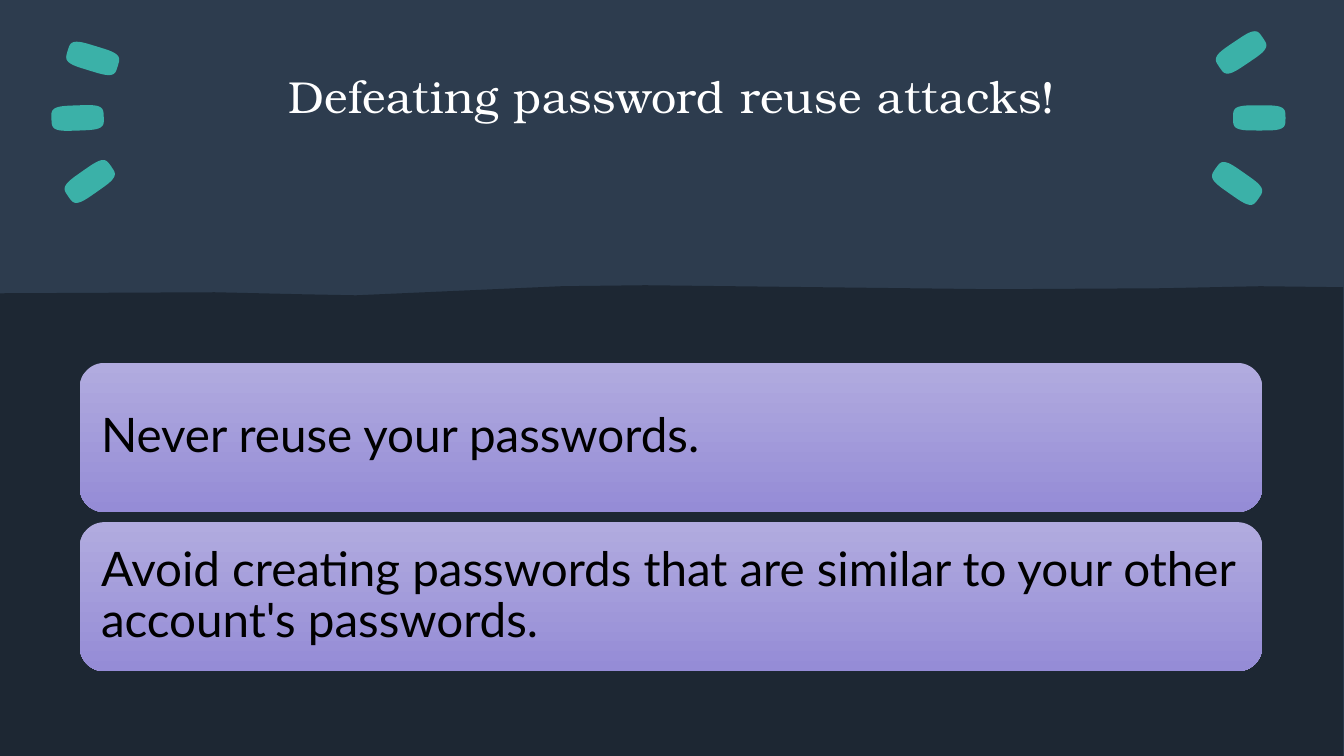
from math import cos, copysign, pi, radians, sin

from pptx import Presentation
from pptx.dml.color import RGBColor
from pptx.enum.shapes import MSO_SHAPE
from pptx.enum.text import MSO_ANCHOR, MSO_AUTO_SIZE, PP_ALIGN
from pptx.util import Pt

PX = 9144  # 100 px to the inch
WIDTH, HEIGHT = 1333, 750
COLORS = {name: RGBColor.from_string(value) for name, value in {
    "night": "1D2733", "slate": "2D3C4E", "teal": "3BB1A8", "white": "FFFFFF",
    "black": "000000", "lilac": "B1ABDF", "violet": "958CD6"}.items()}


def paint(shape, color):
    shape.shadow.inherit = False
    shape.line.fill.background()
    shape.fill.solid()
    shape.fill.fore_color.rgb = COLORS[color]


def add_outline(points, color):
    corners = [(round(x * PX), round(y * PX)) for x, y in points]
    builder = page.shapes.build_freeform(*corners[0])
    builder.add_line_segments(corners[1:], close=True)
    paint(builder.convert_to_shape(), color)


deck = Presentation()
deck.slide_width, deck.slide_height = WIDTH * PX, HEIGHT * PX
page = deck.slides.add_slide(deck.slide_layouts[5])
page.background.fill.solid()
page.background.fill.fore_color.rgb = COLORS["night"]

# Slate backdrop, sent behind the title
backdrop = page.shapes.add_shape(MSO_SHAPE.RECTANGLE, 0, 0, WIDTH * PX, HEIGHT * PX)
paint(backdrop, "slate")
page.shapes._spTree.insert(2, backdrop._element)

# Title
title = page.shapes.title
title.left, title.top, title.width, title.height = 184 * PX, 68 * PX, 966 * PX, 75 * PX
frame = title.text_frame
frame.margin_left = frame.margin_right = frame.margin_top = frame.margin_bottom = 0
frame.vertical_anchor = MSO_ANCHOR.TOP
frame.auto_size = MSO_AUTO_SIZE.NONE
para = frame.paragraphs[0]
para.alignment = PP_ALIGN.CENTER
para.font.name, para.font.size = "TeX Gyre Bonum", Pt(32)
para.font.color.rgb = COLORS["white"]
span = para.add_run()
span.text = "Defeating password reuse attacks!"
span._r.get_or_add_rPr().set("spc", "40")

# Brush dashes: one soft rounded outline, turned about each centre
DASH_LENGTH, DASH_THICKNESS, DASH_POINTS = 52, 25, 48
soft_outline = []
for step in range(DASH_POINTS):
    turn = 2 * pi * step / DASH_POINTS
    soft_outline.append((DASH_LENGTH / 2 * copysign(abs(cos(turn)) ** 0.5, cos(turn)),
                         DASH_THICKNESS / 2 * copysign(abs(sin(turn)) ** 0.5, sin(turn))))
dashes = [(89, 180, -35), (77, 117, -2), (92, 58, 17),
          (1249, 117, 0), (1231, 52, -34), (1227, 182, 35)]
for center_x, center_y, degrees in dashes:
    c, s = cos(radians(degrees)), sin(radians(degrees))
    add_outline([(center_x + x * c - y * s, center_y + x * s + y * c)
                 for x, y in soft_outline], "teal")

# Dark lower area with a wavy top edge
add_outline([(0, 291), (213, 290), (300, 292), (353, 293), (557, 284), (640, 283),
             (987, 287), (1153, 286), (1250, 284), (1332, 285),
             (1332, HEIGHT), (0, HEIGHT)], "night")

# Advice cards
advice = ["Never reuse your passwords.",
          "Avoid creating passwords that are similar to your other account's passwords."]
for row, text in enumerate(advice):
    card = page.shapes.add_shape(MSO_SHAPE.ROUNDED_RECTANGLE, 79 * PX,
                                 (360 + 158 * row) * PX, 1173 * PX, 148 * PX)
    card.shadow.inherit = False
    card.line.fill.background()
    card.fill.gradient()
    card.fill.gradient_angle = 270
    for stop, color in zip(card.fill.gradient_stops, ("lilac", "violet")):
        stop.color.rgb = COLORS[color]
    frame = card.text_frame
    frame.word_wrap = True
    frame.vertical_anchor = MSO_ANCHOR.MIDDLE
    frame.margin_left = frame.margin_right = 14 * PX
    frame.margin_top = frame.margin_bottom = 14 * PX
    para = frame.paragraphs[0]
    para.text = text
    para.alignment = PP_ALIGN.LEFT
    para.line_spacing = 0.9
    para.font.name, para.font.size = "Lato", Pt(34)
    para.font.color.rgb = COLORS["black"]

deck.save("out.pptx")
